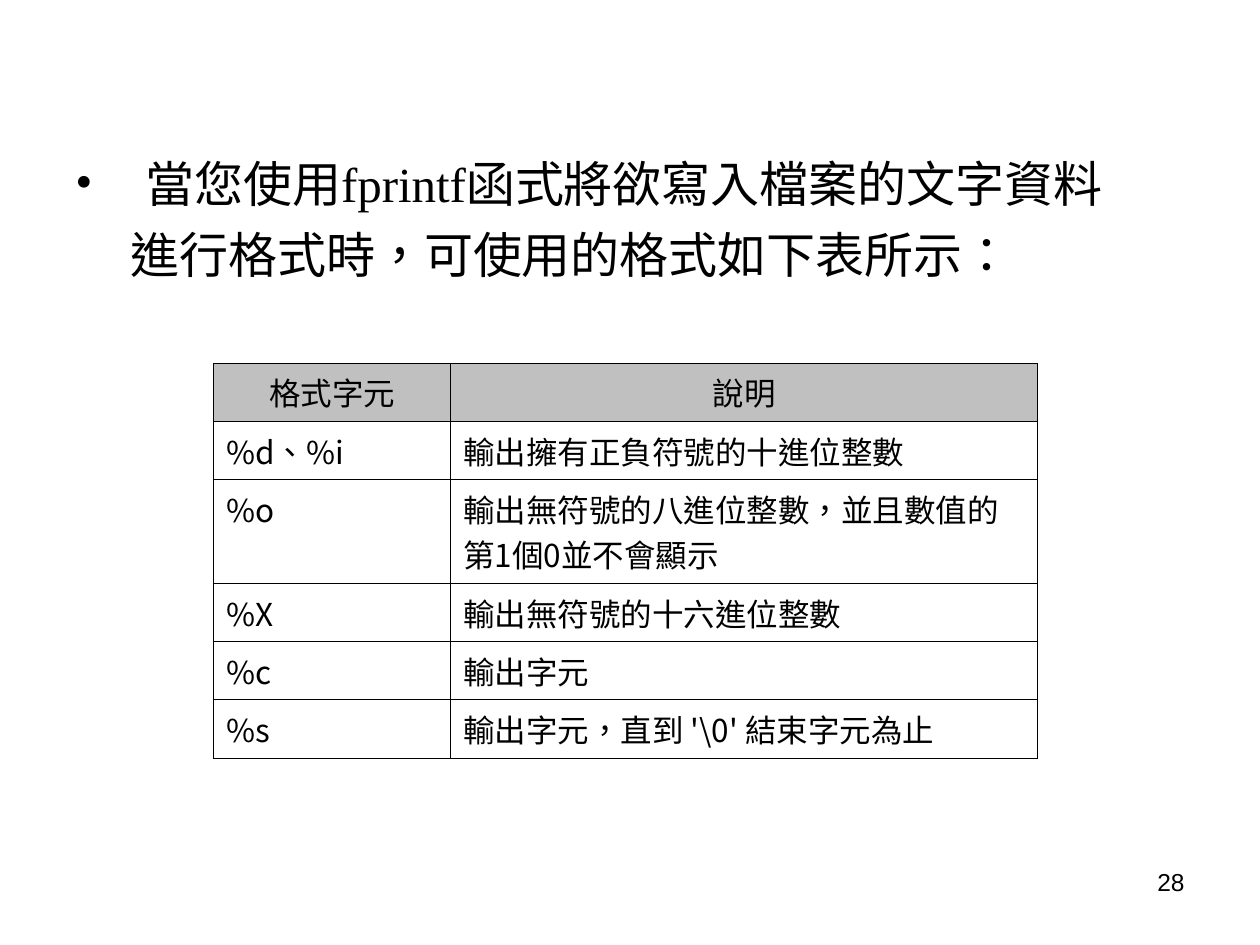
from lxml import etree
from pptx import Presentation
from pptx.dml.color import RGBColor
from pptx.enum.lang import MSO_LANGUAGE_ID
from pptx.enum.text import PP_ALIGN
from pptx.oxml.ns import qn
from pptx.util import Pt

LEFT, CENTER, RIGHT, JUSTIFY = PP_ALIGN.LEFT, PP_ALIGN.CENTER, PP_ALIGN.RIGHT, PP_ALIGN.JUSTIFY
TAIWAN = MSO_LANGUAGE_ID.TAIWAN if hasattr(MSO_LANGUAGE_ID, "TAIWAN") else MSO_LANGUAGE_ID.CHINESE_HONG_KONG_SAR
COLORS = {"text": "000000", "border": "000000", "header": "C0C0C0", "cell": "FFFFFF"}
SERIF, SANS, CJK = "Times New Roman", "Arial", "Noto Sans CJK SC"
FORMATS = [
    ("格式字元", "說明"),
    ("%d、%i", "輸出擁有正負符號的十進位整數"),
    ("%o", "輸出無符號的八進位整數，並且數值的第1個0並不會顯示"),
    ("%X", "輸出無符號的十六進位整數"),
    ("%c", "輸出字元"),
    ("%s", "輸出字元，直到 '\\0' 結束字元為止"),
]


def write_text(paragraph, text, size, font, align=LEFT, margin=0, indent=0, before=0, bullet=None):
    """Fill a paragraph; margin, indent and before are in points."""
    properties = paragraph._p.get_or_add_pPr()
    properties.set("marL", str(Pt(margin)))
    properties.set("indent", str(Pt(indent)))
    if bullet:
        etree.SubElement(properties, qn("a:buFont"), typeface=SERIF)
        etree.SubElement(properties, qn("a:buChar"), char=bullet)
    paragraph.alignment = align
    paragraph.space_before = Pt(before)
    run = paragraph.add_run()
    run.text = text
    run.font.size = Pt(size)
    run.font.name = font
    run.font.language_id = TAIWAN
    run.font.color.rgb = RGBColor.from_string(COLORS["text"])
    etree.SubElement(run._r.get_or_add_rPr(), qn("a:ea"), typeface=CJK)


def add_borders(cell, width):
    properties = cell._tc.get_or_add_tcPr()
    for position, side in enumerate(("lnL", "lnR", "lnT", "lnB")):
        line = etree.Element(qn(f"a:{side}"), w=str(Pt(width)))
        fill = etree.SubElement(line, qn("a:solidFill"))
        etree.SubElement(fill, qn("a:srgbClr"), val=COLORS["border"])
        properties.insert(position, line)


presentation = Presentation()
presentation.slide_width, presentation.slide_height = Pt(720), Pt(540)
slide = presentation.slides.add_slide(presentation.slide_layouts[6])

# Introduction
body = slide.shapes.add_textbox(Pt(36), Pt(84), Pt(630), Pt(396)).text_frame
body.word_wrap = True
write_text(body.paragraphs[0], "當您使用fprintf函式將欲寫入檔案的文字資料", 28, SERIF,
           align=JUSTIFY, margin=40, indent=-40, bullet="•")
write_text(body.add_paragraph(), "進行格式時，可使用的格式如下表所示：", 28, SERIF,
           align=JUSTIFY, margin=31.5, before=7)

# Format table
table = slide.shapes.add_table(len(FORMATS), 2, Pt(122), Pt(207.5), Pt(471), Pt(225.75)).table
for column, width in zip(table.columns, (135.5, 335.5)):
    column.width = Pt(width)
for row_index, texts in enumerate(FORMATS):
    is_header = row_index == 0
    table.rows[row_index].height = Pt(59.5 if row_index == 2 else 33.25)
    for column_index, text in enumerate(texts):
        cell = table.cell(row_index, column_index)
        cell.fill.solid()
        cell.fill.fore_color.rgb = RGBColor.from_string(COLORS["header" if is_header else "cell"])
        add_borders(cell, 0.45)
        write_text(cell.text_frame.paragraphs[0], text, 18, CJK,
                   align=CENTER if is_header else LEFT)

# Slide number
number = slide.shapes.add_textbox(Pt(516), Pt(492), Pt(168), Pt(37.5)).text_frame
number.word_wrap = True
write_text(number.paragraphs[0], "28", 14, SANS, align=RIGHT)

presentation.save("out.pptx")
